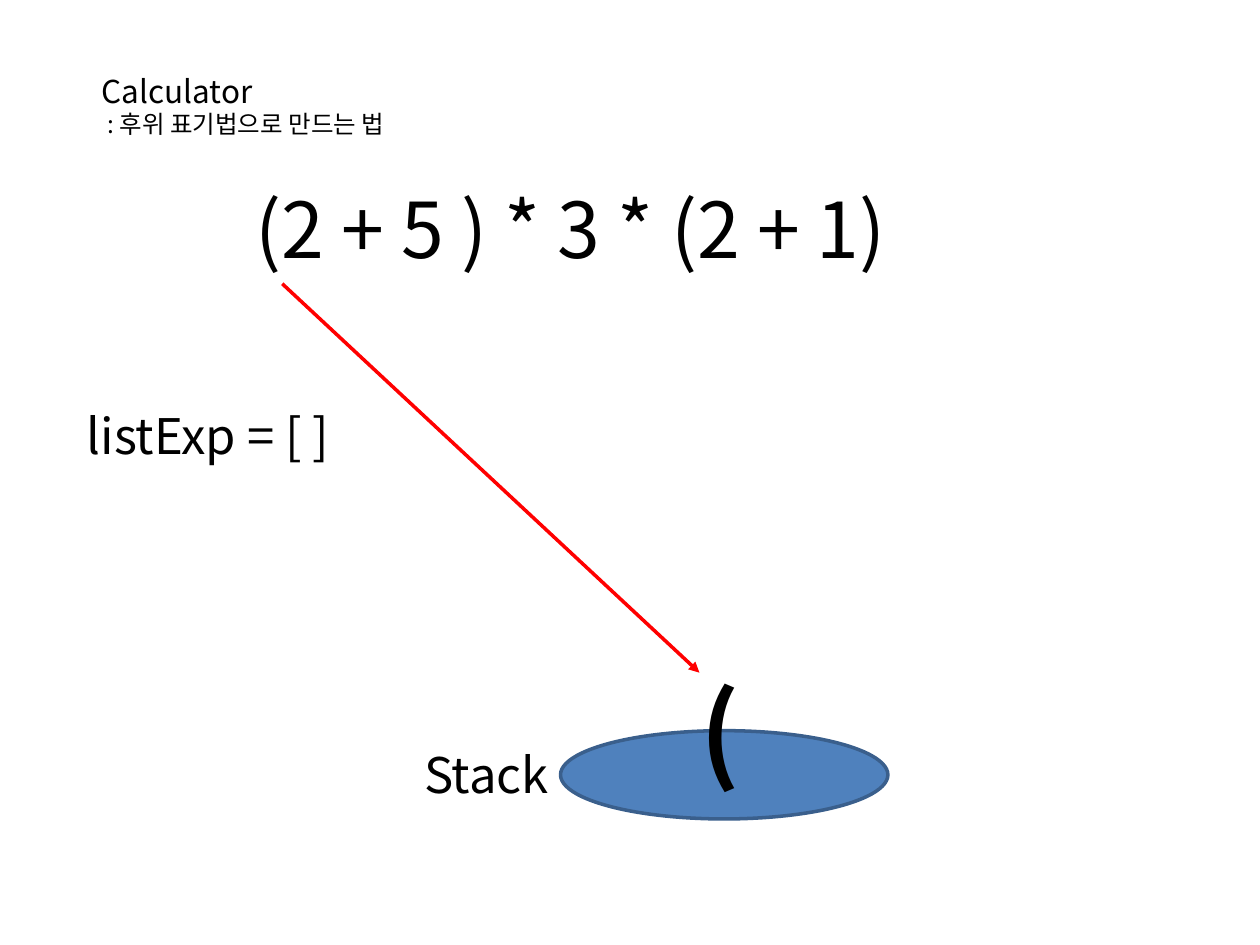
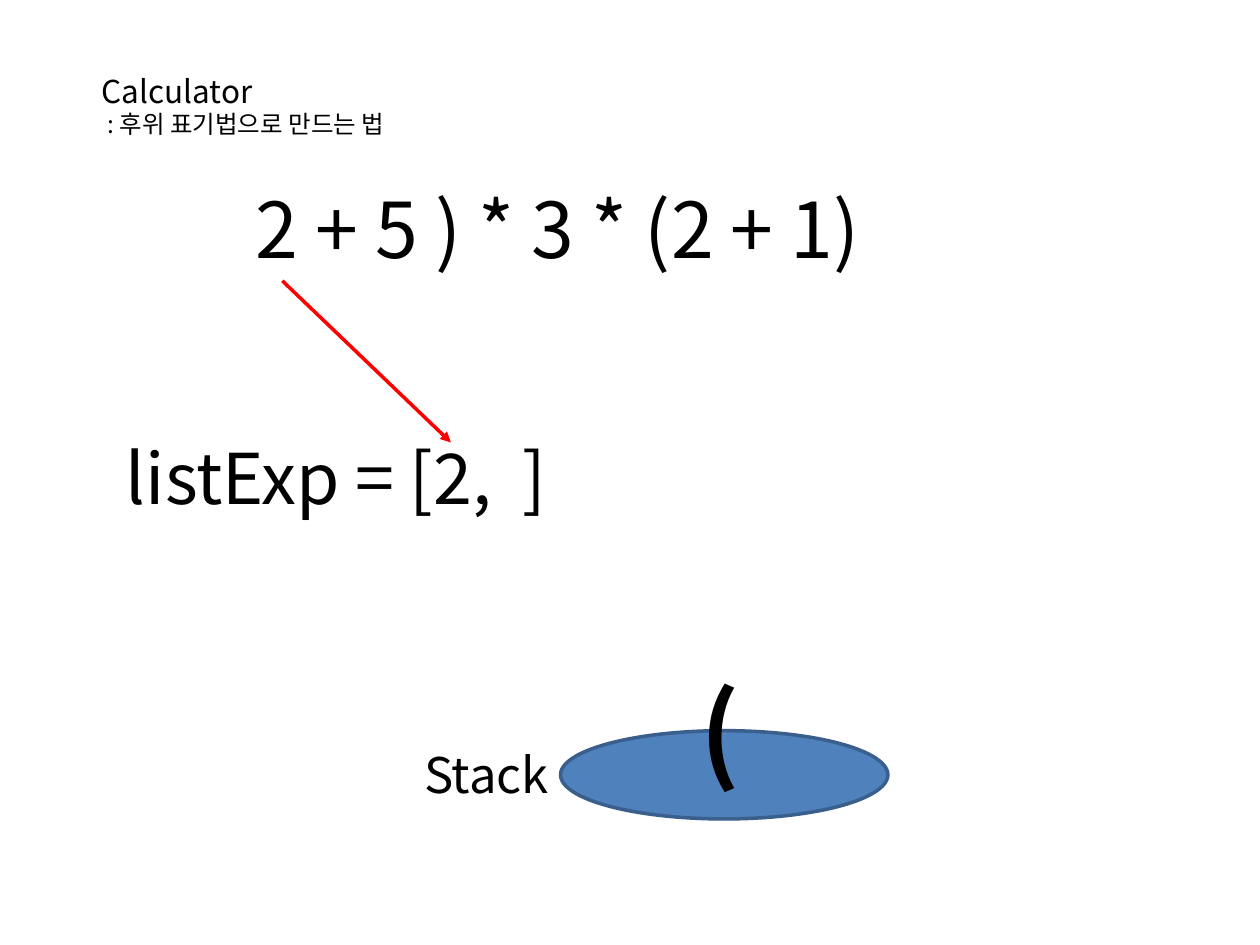
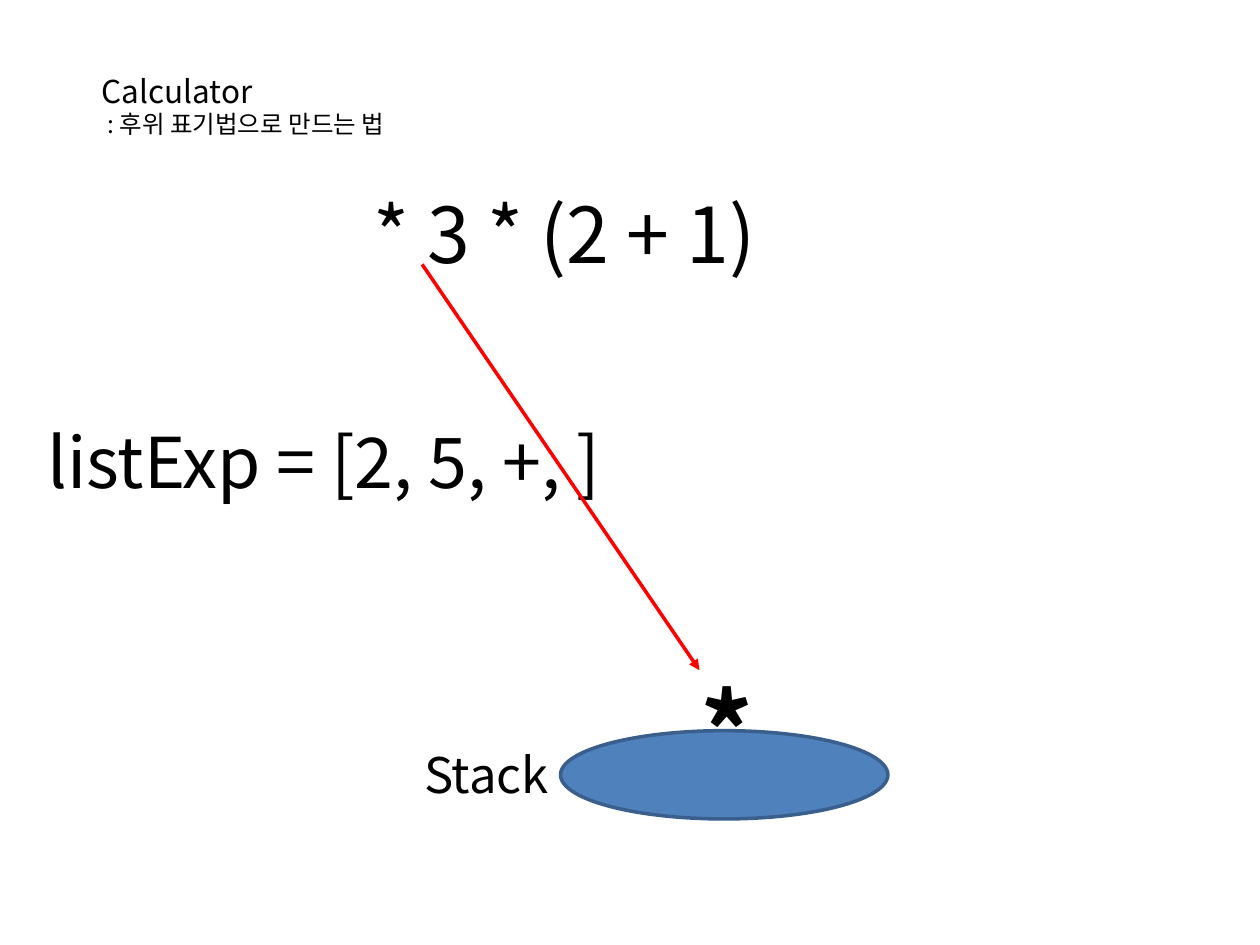
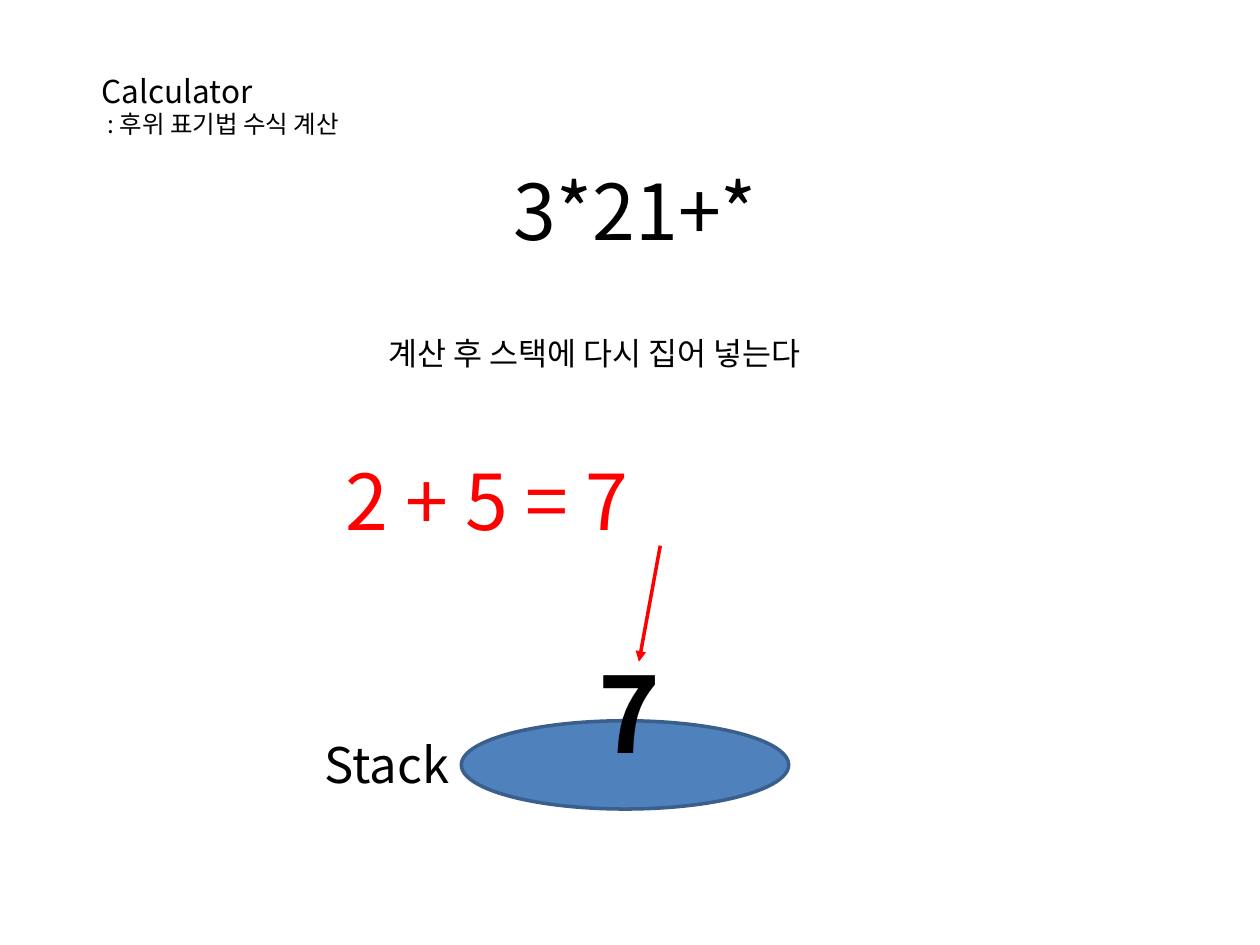
from dataclasses import dataclass

from lxml import etree
from pptx import Presentation
from pptx.dml.color import RGBColor
from pptx.enum.shapes import MSO_CONNECTOR, MSO_SHAPE
from pptx.enum.text import MSO_ANCHOR, MSO_AUTO_SIZE
from pptx.oxml.ns import qn
from pptx.slide import Slide
from pptx.util import Cm, Pt

ELLIPSE = MSO_SHAPE.OVAL
STRAIGHT = MSO_CONNECTOR.STRAIGHT
TOP = MSO_ANCHOR.TOP
GROW = MSO_AUTO_SIZE.SHAPE_TO_FIT_TEXT

BLACK = RGBColor(0x00, 0x00, 0x00)
RED = RGBColor(0xFF, 0x00, 0x00)
BLUE = RGBColor(0x4F, 0x81, 0xBD)
DARK_BLUE = RGBColor(0x3A, 0x5F, 0x8C)

FONT = "Noto Sans CJK KR"
LINE_WIDTH = Pt(2)
SIDE_MARGIN = 0.25
FRAME_FORMAT = {"word_wrap": False, "auto_size": GROW, "vertical_anchor": TOP}

BUILDING = " : 후위 표기법으로 만드는 법"
EVALUATING = " : 후위 표기법 수식 계산"


@dataclass(frozen=True)
class Box:
    left: float
    top: float
    width: float
    height: float


@dataclass(frozen=True)
class Line:
    text: str
    size: int
    color: RGBColor = BLACK
    bold: bool = False


@dataclass(frozen=True)
class Label:
    box: Box
    lines: tuple[Line, ...]
    indent: float = 0


@dataclass(frozen=True)
class Arrow:
    start: tuple[float, float]
    end: tuple[float, float]


@dataclass(frozen=True)
class Step:
    subtitle: str
    title_width: float
    stack: Box
    token: Label
    labels: tuple[Label, ...]
    arrow: Arrow


def one_line(box: Box, text: str, size: int, color: RGBColor = BLACK,
             bold: bool = False, indent: float = 0) -> Label:
    return Label(box, (Line(text, size, color, bold),), indent)


def token(left: float, top: float, width: float, text: str) -> Label:
    return one_line(Box(left, top, width, 2.82), text, 60, bold=True)


def draw_label(slide: Slide, label: Label) -> None:
    box = label.box
    frame = slide.shapes.add_textbox(
        Cm(box.left), Cm(box.top), Cm(box.width), Cm(box.height)).text_frame
    for attribute, value in FRAME_FORMAT.items():
        setattr(frame, attribute, value)
    frame.margin_left = Cm(SIDE_MARGIN + label.indent)
    for index, line in enumerate(label.lines):
        paragraph = frame.add_paragraph() if index else frame.paragraphs[0]
        run = paragraph.add_run()
        run.text = line.text
        font_format = {"name": FONT, "size": Pt(line.size), "bold": line.bold}
        for attribute, value in font_format.items():
            setattr(run.font, attribute, value)
        run.font.color.rgb = line.color
        east_asian = etree.SubElement(run._r.get_or_add_rPr(), qn("a:ea"))
        east_asian.set("typeface", FONT)


def draw_stack(slide: Slide, stack: Box) -> None:
    draw_label(slide, one_line(
        Box(stack.left - 3, stack.top + 0.15, 3.2, 1.45), "Stack ", 28))
    disc = slide.shapes.add_shape(
        ELLIPSE, Cm(stack.left), Cm(stack.top), Cm(stack.width), Cm(stack.height))
    disc.shadow.inherit = False
    disc.fill.solid()
    disc.fill.fore_color.rgb = BLUE
    disc.line.color.rgb = DARK_BLUE
    disc.line.width = LINE_WIDTH


def draw_arrow(slide: Slide, arrow: Arrow) -> None:
    connector = slide.shapes.add_connector(
        STRAIGHT, *(Cm(value) for value in arrow.start + arrow.end))
    connector.line.color.rgb = RED
    connector.line.width = LINE_WIDTH
    head = etree.SubElement(connector.line._get_or_add_ln(), qn("a:tailEnd"))
    head.set("type", "triangle")
    etree.SubElement(connector._element.spPr, qn("a:effectLst"))


def draw_step(slide: Slide, step: Step) -> None:
    draw_label(slide, Label(
        Box(1.8, 1.32, step.title_width, 1.63),
        (Line("Calculator", 18), Line(step.subtitle, 14))))
    for label in step.labels:
        draw_label(slide, label)
    draw_stack(slide, step.stack)
    draw_label(slide, step.token)
    draw_arrow(slide, step.arrow)


BUILDING_WIDTH = 6.99
BUILDING_STACK = Box(11.3, 14.73, 6.6, 1.78)
EXPRESSION = Box(4.9, 3.53, 15.24, 2.13)
OPEN_BRACKET = token(13.87, 13.31, 1.27, "(")

STEPS = (
    Step(BUILDING, BUILDING_WIDTH, BUILDING_STACK, OPEN_BRACKET,
         (one_line(EXPRESSION, "(2 + 5 ) * 3 * (2 + 1)", 44),
          one_line(Box(1.5, 8.05, 5.72, 1.45), "listExp = [ ]", 28)),
         Arrow((5.69, 5.72), (14.1, 13.56))),
    Step(BUILDING, BUILDING_WIDTH, BUILDING_STACK, OPEN_BRACKET,
         (one_line(EXPRESSION, "2 + 5 ) * 3 * (2 + 1)", 44),
          one_line(Box(2.29, 8.64, 9.55, 1.96), "listExp = [2,  ]", 40)),
         Arrow((5.69, 5.66), (9.09, 8.92))),
    Step(BUILDING, BUILDING_WIDTH, BUILDING_STACK,
         token(13.87, 13.31, 1.5, "*"),
         (one_line(Box(6.25, 3.63, 10.92, 2.13), "* 3 * (2 + 1)", 44, indent=1.04),
          one_line(Box(0.71, 8.31, 12.47, 1.96), "listExp = [2, 5, +, ]", 40)),
         Arrow((8.51, 5.33), (14.1, 13.51))),
    Step(EVALUATING, 5.97, Box(9.3, 14.53, 6.6, 1.78),
         token(11.81, 12.95, 1.75, "7"),
         (one_line(Box(10.11, 3.18, 5.54, 2.9), "3*21+*", 44),
          one_line(Box(7.59, 6.6, 9.98, 1.02), "계산 후 스택에 다시 집어 넣는다", 18),
          one_line(Box(6.71, 9.02, 7.52, 2.13), "2 + 5 = 7", 44, RED)),
         Arrow((13.31, 11), (12.88, 13.34))),
)

deck = Presentation()
deck.slide_width = Cm(25.4)
deck.slide_height = Cm(19.05)
blank_layout = deck.slide_layouts[6]
for step in STEPS:
    draw_step(deck.slides.add_slide(blank_layout), step)
deck.save("out.pptx")
